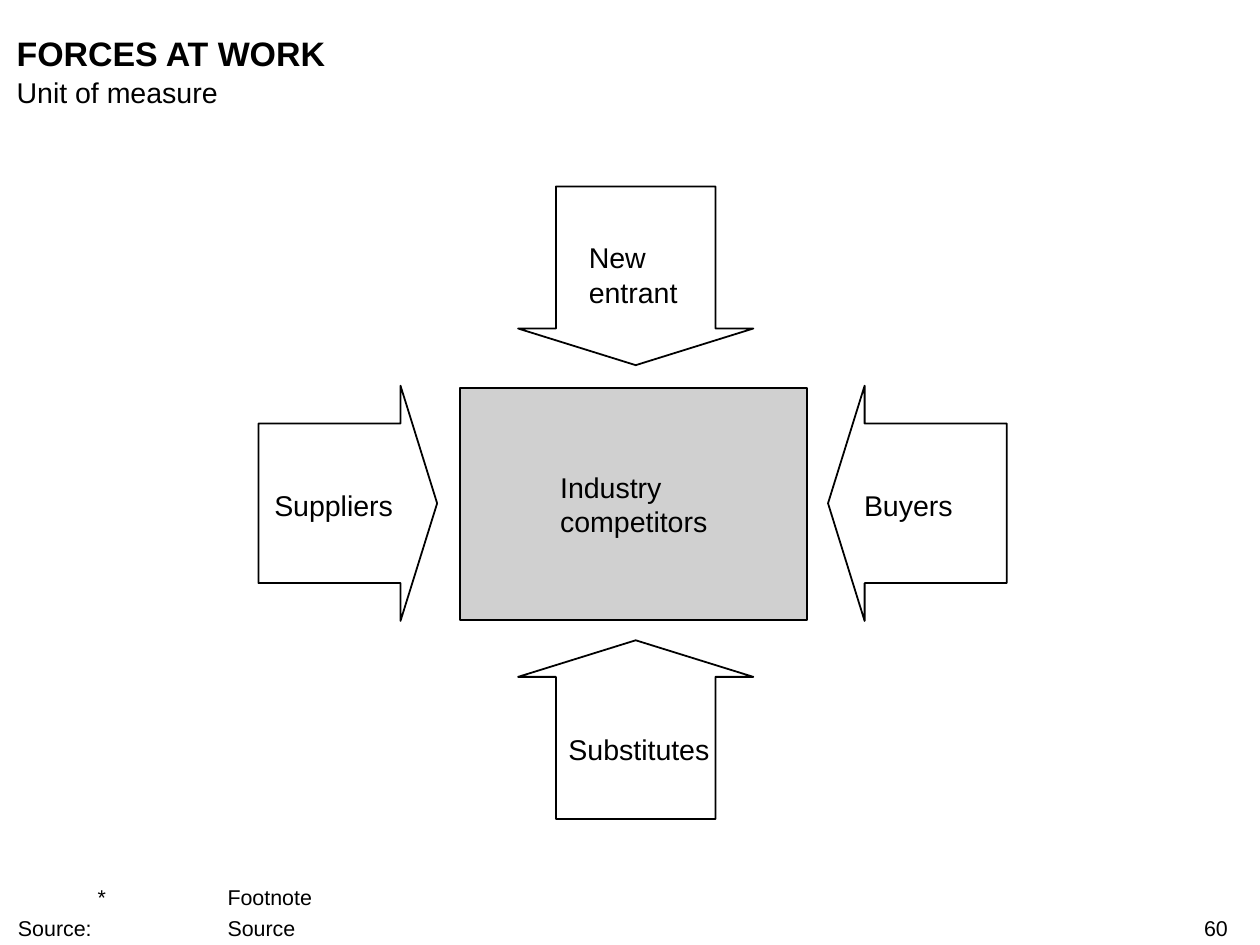
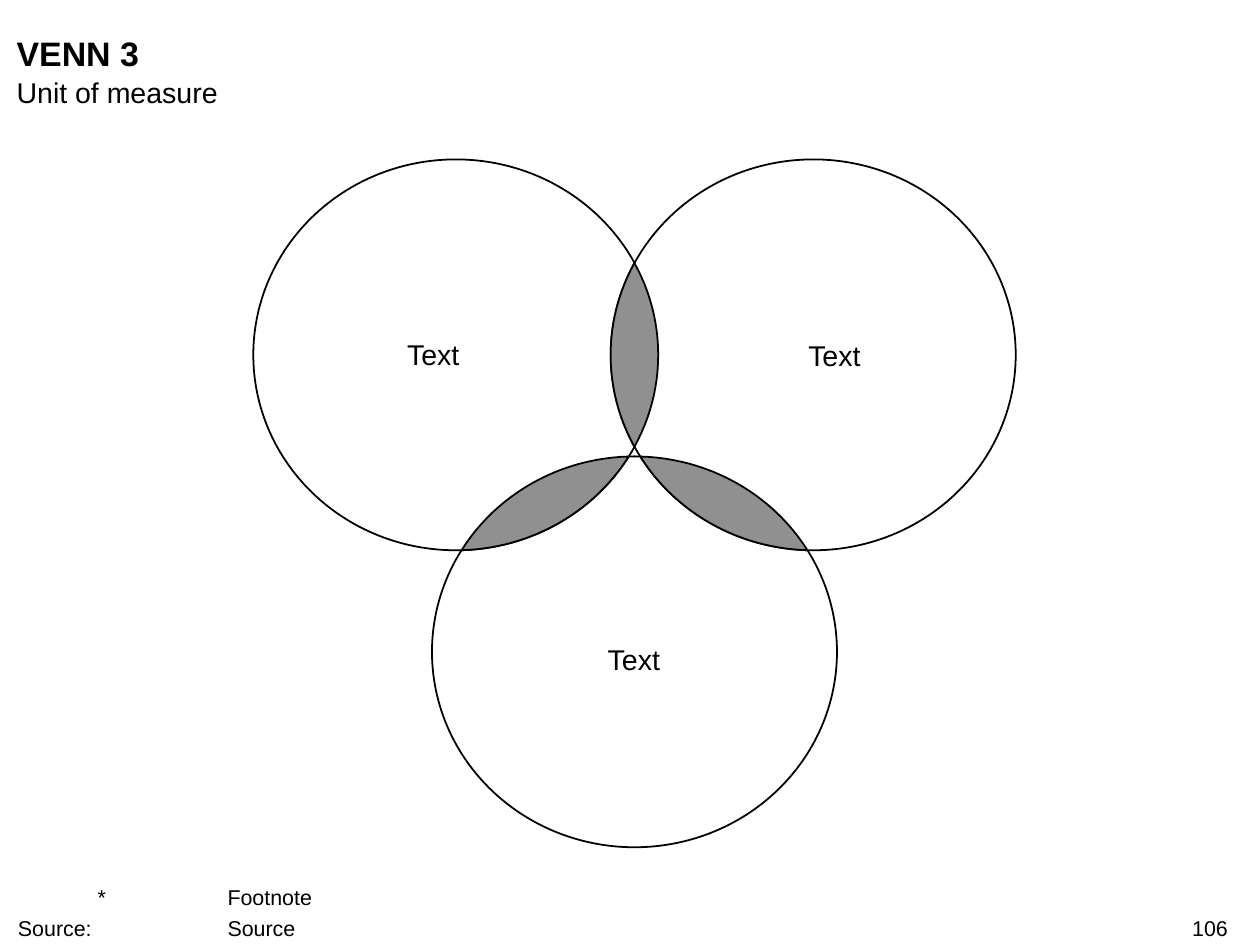
from math import acos, atan2, cos, hypot, pi, sin

from lxml.etree import SubElement
from pptx import Presentation
from pptx.dml.color import RGBColor
from pptx.enum.shapes import MSO_SHAPE as Preset
from pptx.enum.text import MSO_ANCHOR as Anchor, PP_ALIGN as Align
from pptx.oxml.ns import qn
from pptx.util import Inches, Pt

BLACK = RGBColor(0x00, 0x00, 0x00)
WHITE = RGBColor(0xFF, 0xFF, 0xFF)
LIGHT_GREY = RGBColor(0xD0, 0xD0, 0xD0)
MID_GREY = RGBColor(0x90, 0x90, 0x90)
FONT = "Arial"
TITLE_SIZE, BODY_SIZE, NOTE_SIZE = 19, 16, 12
WIDTH, HEIGHT = 9.8, 7.35

# Content shared by both slides
UNIT = "Unit of measure"
NOTES = ["\t*\tFootnote", "Source:\t\tSource"]
NOTE_TABS = (0.62, 1.63)

# Forces: preset, arrow frame, label, label frame
ARROW_LONG, ARROW_WIDE = 1.39, 1.83
SHAFT_SHARE, HEAD_SHARE = 0.678, 0.205
HUB_LINES = ["Industry", "competitors"]
HUB_BOX = (3.58, 3.02, 2.7, 1.8)
ACROSS = (ARROW_LONG, ARROW_WIDE)
UPRIGHT = (ARROW_WIDE, ARROW_LONG)
FORCES = [
    (Preset.LEFT_ARROW, (6.44, 3, *ACROSS), "Buyers", (6.52, 3.79, 1.09, 0.27)),
    (Preset.RIGHT_ARROW, (2.01, 3, *ACROSS), "Suppliers", (2.05, 3.79, 1.09, 0.27)),
    (Preset.DOWN_ARROW, (4.03, 1.45, *UPRIGHT), "New entrant", (4.44, 1.87, 0.97, 0.53)),
    (Preset.UP_ARROW, (4.03, 4.98, *UPRIGHT), "Substitutes", (4.38, 5.69, 1.18, 0.27)),
]

# Venn: circle centre, label, label frame
RADIUS_X, RADIUS_Y = 1.575, 1.52
CIRCLES = [
    ((4.935, 5.07), "Text", (3.69, 4.99, 2.48, 0.27)),
    ((3.545, 2.76), "Text", (2.08, 2.62, 2.58, 0.27)),
    ((6.325, 2.76), "Text", (5.25, 2.63, 2.48, 0.27)),
]
LENS_PAIRS = [(1, 2), (0, 2), (0, 1)]
ARC_STEPS = 24


def inches(box):
    return [Inches(length) for length in box]


def write(shape, lines, size=BODY_SIZE, bold=False, align=Align.LEFT,
          anchor=Anchor.TOP, centre_block=False, tabs=(), gap=0):
    frame = shape.text_frame
    frame.word_wrap = True
    frame.vertical_anchor = anchor
    frame.margin_left = frame.margin_right = 0
    frame.margin_top = frame.margin_bottom = 0
    if centre_block:
        shape.element.find(".//" + qn("a:bodyPr")).set("anchorCtr", "1")
    for index, line in enumerate(lines):
        paragraph = frame.add_paragraph() if index else frame.paragraphs[0]
        paragraph.alignment = align
        if index and gap:
            paragraph.space_before = Pt(gap)
        if tabs:
            tab_list = SubElement(paragraph._p.get_or_add_pPr(), qn("a:tabLst"))
            for position in tabs:
                SubElement(tab_list, qn("a:tab"), pos=str(Inches(position)), algn="l")
        run = paragraph.add_run()
        run.text = line
        run.font.name, run.font.size, run.font.bold = FONT, Pt(size), bold
        run.font.color.rgb = BLACK


def add_text(slide, box, lines, **style):
    write(slide.shapes.add_textbox(*inches(box)), lines, **style)


def add_label(slide, box, text):
    add_text(slide, box, [text], anchor=Anchor.MIDDLE, centre_block=True)


def paint(shape, colour):
    shape.shadow.inherit = False
    shape.fill.solid()
    shape.fill.fore_color.rgb = colour
    shape.line.color.rgb = BLACK
    shape.line.width = Pt(1)
    return shape


def add_preset(slide, preset, box, colour=WHITE):
    return paint(slide.shapes.add_shape(preset, *inches(box)), colour)


def add_page(presentation, title, number):
    slide = presentation.slides.add_slide(presentation.slide_layouts[6])
    add_text(slide, (0.13, 0.25, 9.43, 0.32), [title], size=TITLE_SIZE, bold=True)
    add_text(slide, (0.13, 0.58, 9.43, 0.27), [UNIT])
    add_text(slide, (0.14, 6.88, 8.93, 0.44), NOTES, size=NOTE_SIZE,
             anchor=Anchor.BOTTOM, tabs=NOTE_TABS, gap=3)
    add_text(slide, (7.51, 7.12, 2.04, 0.2), [number], size=NOTE_SIZE, align=Align.RIGHT)
    return slide


def add_lens(slide, first, second):
    """Shade the overlap of two equal ellipses, worked out on unit circles."""
    across = (second[0] - first[0]) / RADIUS_X
    down = (second[1] - first[1]) / RADIUS_Y
    heading, half = atan2(down, across), acos(hypot(across, down) / 2)
    points = []
    for centre, middle in ((first, heading), (second, heading + pi)):
        for step in range(ARC_STEPS + 1):
            angle = middle + half * (2 * step / ARC_STEPS - 1)
            points.append((Inches(centre[0] + RADIUS_X * cos(angle)),
                           Inches(centre[1] + RADIUS_Y * sin(angle))))
    outline = slide.shapes.build_freeform(*points[0])
    outline.add_line_segments(points[1:], close=True)
    paint(outline.convert_to_shape(), MID_GREY)


def build_forces(presentation):
    slide = add_page(presentation, "FORCES AT WORK", "60")
    for preset, box, label, label_box in FORCES:
        arrow = add_preset(slide, preset, box)
        arrow.adjustments[0], arrow.adjustments[1] = SHAFT_SHARE, HEAD_SHARE
        add_label(slide, label_box, label)
    hub = add_preset(slide, Preset.RECTANGLE, HUB_BOX, LIGHT_GREY)
    write(hub, HUB_LINES, anchor=Anchor.MIDDLE, centre_block=True)


def build_venn(presentation):
    slide = add_page(presentation, "VENN 3", "106")
    for (x, y), _, _ in CIRCLES:
        add_preset(slide, Preset.OVAL,
                   (x - RADIUS_X, y - RADIUS_Y, 2 * RADIUS_X, 2 * RADIUS_Y))
    for first, second in LENS_PAIRS:
        add_lens(slide, CIRCLES[first][0], CIRCLES[second][0])
    for _, label, label_box in CIRCLES:
        add_label(slide, label_box, label)


def main():
    presentation = Presentation()
    presentation.slide_width, presentation.slide_height = inches((WIDTH, HEIGHT))
    build_forces(presentation)
    build_venn(presentation)
    presentation.save("out.pptx")


if __name__ == "__main__":
    main()
